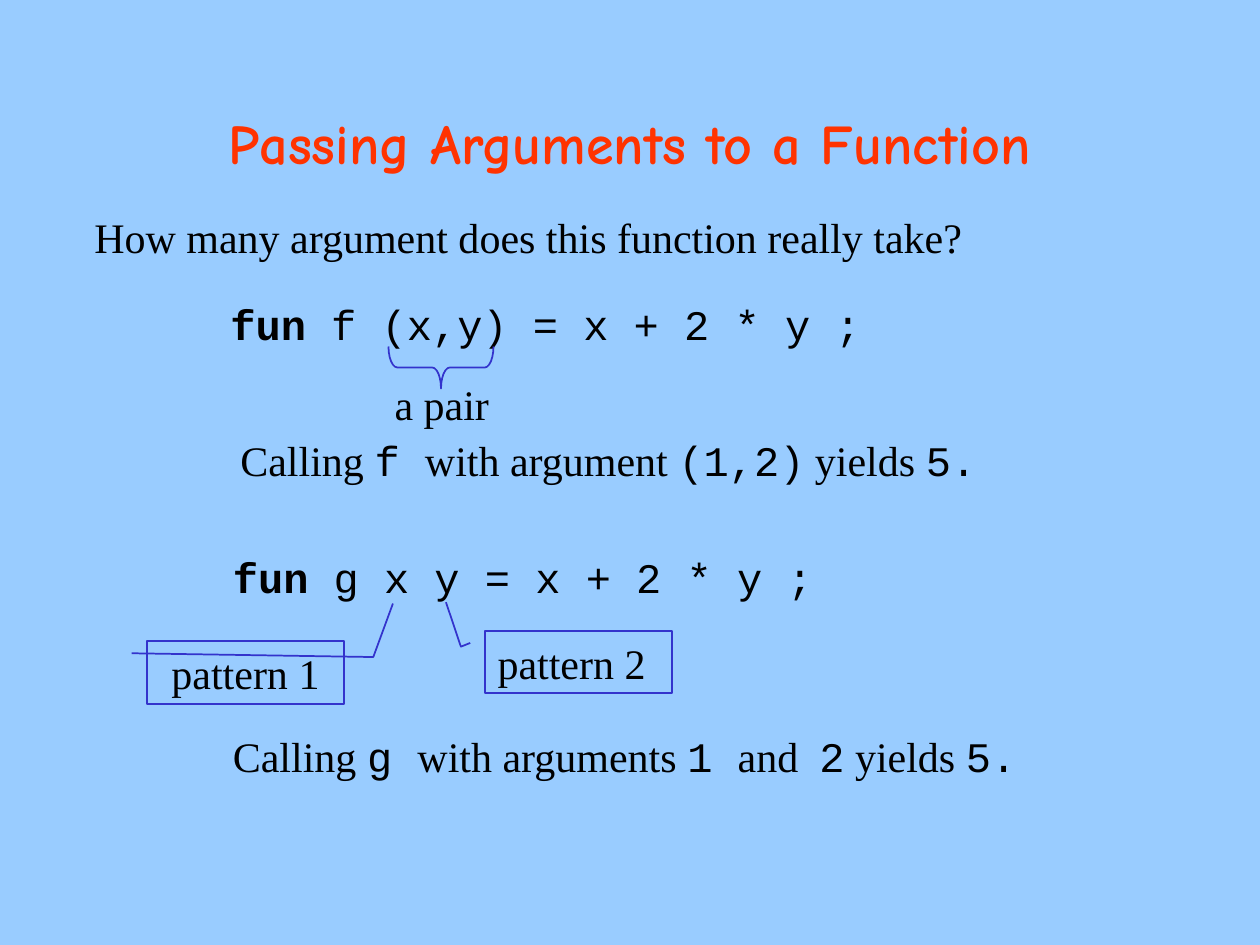
import pptx
import pptx.dml.color
import pptx.enum.shapes
import pptx.enum.text
import pptx.util
from typing import NamedTuple

Pt = pptx.util.Pt
Align = pptx.enum.text.PP_ALIGN
Shape = pptx.enum.shapes.MSO_SHAPE

COLORS = {"sky": "99CCFF", "title": "FF3300", "ink": "000000", "line": "3333CC"}
STYLES = {
    "title": {"name": "Comic Neue", "size": Pt(32), "bold": True},
    "prose": {"name": "Times New Roman", "size": Pt(24), "bold": False},
    "code": {"name": "Courier New", "size": Pt(24), "bold": False},
    "key": {"name": "Courier New", "size": Pt(24), "bold": True},
}


class Box(NamedTuple):
    left: float
    top: float
    width: float
    height: float = 36


class Run(NamedTuple):
    text: str
    style: str = "prose"


class Label(NamedTuple):
    box: Box
    runs: list[Run]
    align: Align = Align.LEFT


class Note(NamedTuple):
    """A callout; bends are y, x pairs as shares of its height and width."""
    label: Label
    bends: list[float]


def rgb(name: str) -> pptx.dml.color.RGBColor:
    return pptx.dml.color.RGBColor.from_string(COLORS[name])


def place(box: Box) -> list[pptx.util.Length]:
    return [Pt(side) for side in box]


def write(frame, runs: list[Run], align: Align, color: str = "ink") -> None:
    para = frame.paragraphs[0]
    para.alignment = align
    for item in runs:
        run = para.add_run()
        run.text = item.text
        for key, value in STYLES[item.style].items():
            setattr(run.font, key, value)
        run.font.color.rgb = rgb(color)


def draw_label(shapes, label: Label) -> None:
    frame = shapes.add_textbox(*place(label.box)).text_frame
    frame.word_wrap = False
    frame.auto_size = pptx.enum.text.MSO_AUTO_SIZE.SHAPE_TO_FIT_TEXT
    write(frame, label.runs, label.align)


def draw_line(shapes, kind: Shape, box: Box, bends: list[float]):
    """Add an unfilled outline shape with the given adjustments."""
    shape = shapes.add_shape(kind, *place(box))
    shape.shadow.inherit = False
    shape.fill.background()
    shape.line.color.rgb = rgb("line")
    shape.line.width = Pt(1)
    for index, bend in enumerate(bends):
        shape.adjustments[index] = bend
    return shape


def draw_note(shapes, note: Note) -> None:
    label = note.label
    shape = draw_line(shapes, Shape.LINE_CALLOUT_2, label.box, note.bends)
    frame = shape.text_frame
    frame.vertical_anchor = pptx.enum.text.MSO_ANCHOR.TOP
    write(frame, label.runs, label.align)


TITLE = Box(54, 48, 612, 66)
BRACE = Box(240, 180, 24, 60)
PAIR = Label(Box(218.2, 213, 68.4), [Run("a pair")], Align.CENTER)
LABELS = [
    Label(Box(46.8, 117.4, 510.5),
          [Run("How many argument does this function really take?")]),
    Label(Box(124.6, 167, 374.4),
          [Run("fun", "key"), Run(" f (x,y) = x + 2 * y ;", "code")]),
    Label(Box(126, 311.8, 345.6),
          [Run("fun", "key"), Run(" g x y = x + 2 * y ;", "code")]),
    Label(Box(130.3, 244.8, 434.9),
          [Run("Calling "), Run("f ", "code"), Run("with argument "),
           Run("(1,2)", "code"), Run(" yields "), Run("5.", "code")]),
    Label(Box(126, 414, 462.2),
          [Run("Calling "), Run("g ", "code"), Run("with arguments "),
           Run("1 ", "code"), Run("and  "), Run("2", "code"),
           Run(" yields "), Run("5.", "code")]),
]
NOTES = [
    Note(Label(Box(84.2, 366.5, 112.3), [Run("pattern 1")], Align.CENTER),
         [0.19, -0.08, 0.25, 1.15, -0.6, 1.25]),
    Note(Label(Box(277.2, 360.7, 106.6, 35.3), [Run("pattern 2")]),
         [0.19, -0.08, 0.25, -0.13, -0.47, -0.21]),
]


def main() -> None:
    deck = pptx.Presentation()
    deck.slide_width, deck.slide_height = Pt(720), Pt(540)
    slide = deck.slides.add_slide(deck.slide_layouts[5])
    fill = slide.background.fill
    fill.solid()
    fill.fore_color.rgb = rgb("sky")

    title = slide.shapes.title
    title.left, title.top, title.width, title.height = place(TITLE)
    title.text_frame.vertical_anchor = pptx.enum.text.MSO_ANCHOR.MIDDLE
    write(title.text_frame, [Run("Passing Arguments to a Function", "title")],
          Align.CENTER, "title")

    for label in LABELS:
        draw_label(slide.shapes, label)

    pair = slide.shapes.add_group_shape().shapes
    brace = draw_line(pair, Shape.RIGHT_BRACE, BRACE, [0.21, 0.5])
    brace.rotation = 90
    draw_label(pair, PAIR)

    notes = slide.shapes.add_group_shape().shapes
    for note in NOTES:
        draw_note(notes, note)

    deck.save("out.pptx")


if __name__ == "__main__":
    main()
